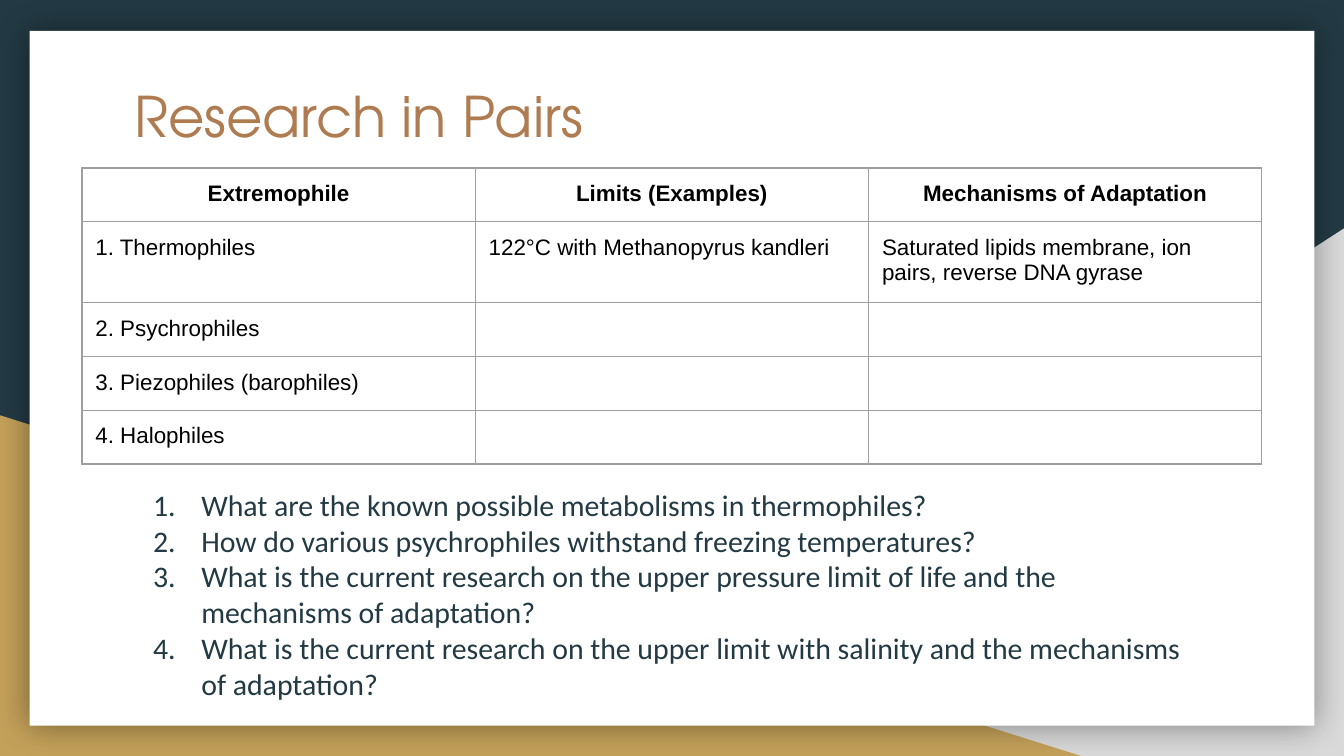
from dataclasses import dataclass

from lxml import etree
from pptx import Presentation
from pptx.dml import color
from pptx.enum import shapes, text
from pptx.oxml import ns, parse_xml
from pptx.util import Inches, Pt


@dataclass(frozen=True)
class Theme:
    navy: str = "233A44"
    gold: str = "C4A15A"
    silver: str = "D9D9D9"
    white: str = "FFFFFF"
    copper: str = "AF7B51"
    black: str = "000000"
    grid: str = "9E9E9E"
    title_font: str = "TeX Gyre Adventor"
    body_font: str = "Calibri"
    table_font: str = "Arial"
    title_size: int = 30
    body_size: int = 16
    table_size: int = 12


THEME = Theme()
ROWS = [
    ["Extremophile", "Limits (Examples)", "Mechanisms of Adaptation"],
    ["1. Thermophiles", "122°C with Methanopyrus kandleri",
     "Saturated lipids membrane, ion pairs, reverse DNA gyrase"],
    ["2. Psychrophiles", "", ""],
    ["3. Piezophiles (barophiles)", "", ""],
    ["4. Halophiles", "", ""],
]
QUESTIONS = [
    "What are the known possible metabolisms in thermophiles?",
    "How do various psychrophiles withstand freezing temperatures?",
    "What is the current research on the upper pressure limit of life "
    "and the mechanisms of adaptation?",
    "What is the current research on the upper limit with salinity "
    "and the mechanisms of adaptation?",
]


def rgb(value):
    return color.RGBColor.from_string(value)


def add_span(para, words, font, size, tint, bold=False):
    span = para.add_run()
    span.text = words
    span.font.name = font
    span.font.size = Pt(size)
    span.font.bold = bold
    span.font.color.rgb = rgb(tint)


def add_panel(page, kind, left, top, width, height, fill):
    panel = page.shapes.add_shape(
        kind, Inches(left), Inches(top), Inches(width), Inches(height))
    panel.shadow.inherit = False
    panel.fill.solid()
    panel.fill.fore_color.rgb = rgb(fill)
    panel.line.fill.background()
    return panel


def add_text_box(page, left, top, width, height):
    box = page.shapes.add_textbox(
        Inches(left), Inches(top), Inches(width), Inches(height))
    frame = box.text_frame
    frame.word_wrap = True
    frame.vertical_anchor = text.MSO_ANCHOR.TOP
    frame.margin_left = frame.margin_right = Inches(0.1)
    frame.margin_top = frame.margin_bottom = Inches(0.1)
    return frame


def add_backdrop(page, width, height):
    page.background.fill.solid()
    page.background.fill.fore_color.rgb = rgb(THEME.navy)
    triangle = shapes.MSO_SHAPE.RIGHT_TRIANGLE

    # Corner triangles
    right = add_panel(page, triangle, width - 6.08, height - 3.93, 6.08, 3.93, THEME.silver)
    right._element.spPr.find(ns.qn("a:xfrm")).set("flipH", "1")
    add_panel(page, triangle, 0, height - 2.54, 8.06, 2.54, THEME.gold)

    # White card with a soft shadow
    card = add_panel(page, shapes.MSO_SHAPE.RECTANGLE, 0.22, 0.23,
                     width - 0.44, height - 0.46, THEME.white)
    effects = card._element.spPr.find(ns.qn("a:effectLst"))
    effects.append(parse_xml(
        f'<a:outerShdw {ns.nsdecls("a")} blurRad="{Pt(18)}" dist="0" dir="0" '
        f'algn="ctr" rotWithShape="0"><a:srgbClr val="{THEME.black}">'
        '<a:alpha val="40000"/></a:srgbClr></a:outerShdw>'))


def add_title(page, left, top, width, height):
    frame = add_text_box(page, left, top, width, height)
    add_span(frame.paragraphs[0], "Research in Pairs",
             THEME.title_font, THEME.title_size, THEME.copper)


def add_borders(cell):
    props = cell._tc.get_or_add_tcPr()
    for place, side in enumerate(("lnL", "lnR", "lnT", "lnB")):
        props.insert(place, parse_xml(
            f'<a:{side} {ns.nsdecls("a")} w="{Pt(0.75)}"><a:solidFill>'
            f'<a:srgbClr val="{THEME.grid}"/></a:solidFill></a:{side}>'))


def add_research_table(page, left, top, width, heights):
    columns = len(ROWS[0])
    table = page.shapes.add_table(
        len(ROWS), columns, Inches(left), Inches(top),
        Inches(width), Inches(sum(heights))).table
    table.horz_banding = False
    for column in table.columns:
        column.width = Inches(width / columns)
    for r, (words_row, height) in enumerate(zip(ROWS, heights)):
        table.rows[r].height = Inches(height)
        for c, words in enumerate(words_row):
            cell = table.cell(r, c)
            cell.fill.background()
            cell.margin_left = cell.margin_right = Inches(0.1)
            cell.margin_top = cell.margin_bottom = Inches(0.1)
            add_borders(cell)
            para = cell.text_frame.paragraphs[0]
            if r == 0:
                para.alignment = text.PP_ALIGN.CENTER
            if words:
                add_span(para, words, THEME.table_font, THEME.table_size,
                         THEME.black, bold=r == 0)
            else:
                # Keep empty rows at the table's type size
                etree.SubElement(para._p, ns.qn("a:endParaRPr"),
                                 sz=str(THEME.table_size * 100))


def add_questions(page, left, top, width, height):
    frame = add_text_box(page, left, top, width, height)
    for index, question in enumerate(QUESTIONS):
        para = frame.add_paragraph() if index else frame.paragraphs[0]
        add_span(para, question, THEME.body_font, THEME.body_size, THEME.navy)
        # Automatic numbering with a hanging indent
        props = para._p.get_or_add_pPr()
        props.set("marL", str(Inches(0.5)))
        props.set("indent", str(Inches(-0.36)))
        tint = etree.SubElement(props, ns.qn("a:buClr"))
        etree.SubElement(tint, ns.qn("a:srgbClr"), val=THEME.navy)
        etree.SubElement(props, ns.qn("a:buFont"), typeface=THEME.body_font)
        etree.SubElement(props, ns.qn("a:buAutoNum"), type="arabicPeriod")
    para.space_after = Pt(16)


def build():
    width, height = 10, 5.63
    deck = Presentation()
    deck.slide_width, deck.slide_height = Inches(width), Inches(5.625)
    page = deck.slides.add_slide(deck.slide_layouts[6])
    add_backdrop(page, width, height)
    add_title(page, 0.9, 0.51, 8.21, 0.66)
    add_questions(page, 0.9, 3.52, 8.21, 1.87)
    add_research_table(page, 0.61, 1.25, 8.78, [0.39, 0.57, 0.39, 0.39, 0.39])
    deck.save("out.pptx")


build()
